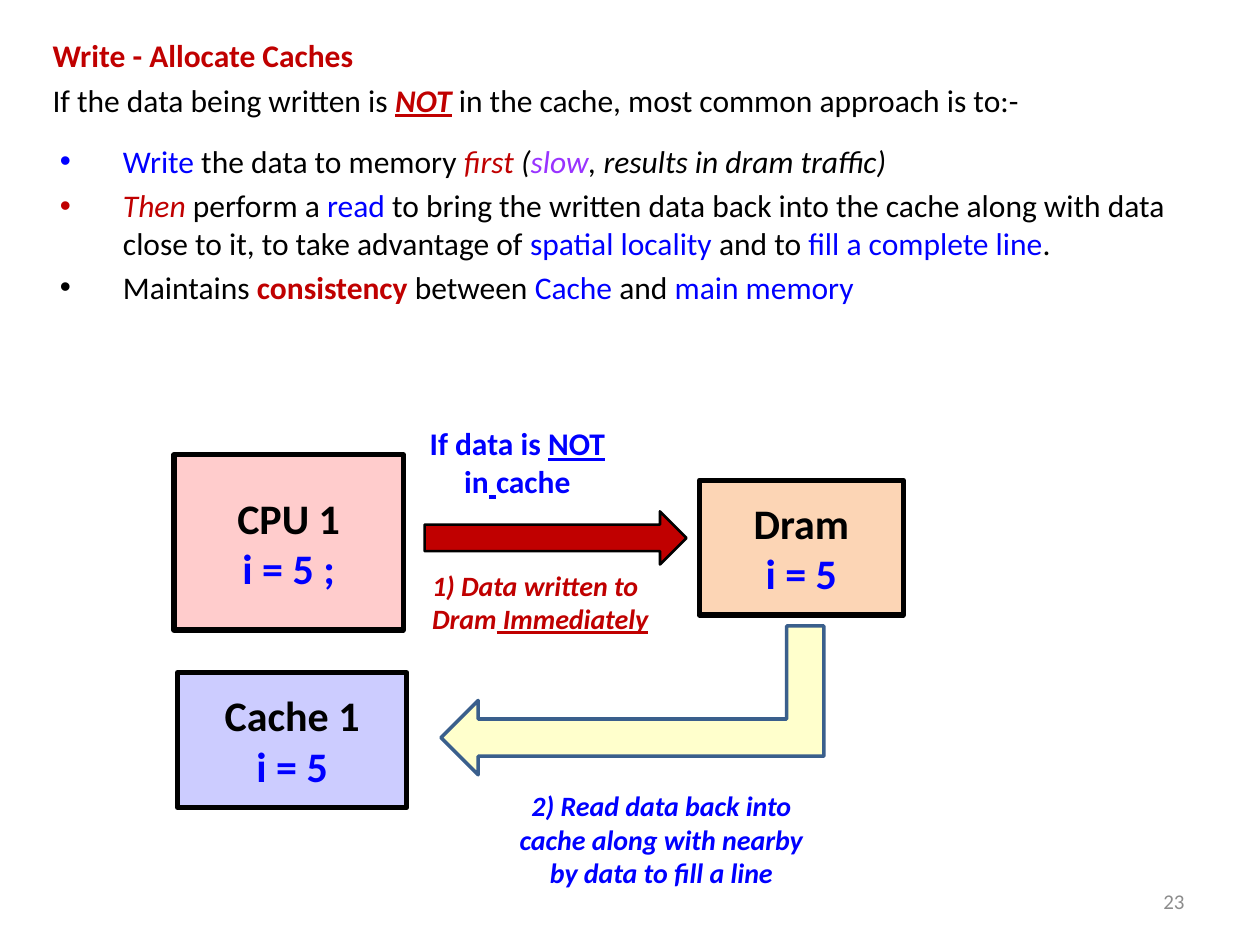
from pptx import Presentation
from pptx.dml.color import RGBColor
from pptx.enum.shapes import MSO_SHAPE as SHAPE
from pptx.enum.text import MSO_ANCHOR as ANCHOR, PP_ALIGN as ALIGN
from pptx.util import Cm, Pt
from lxml.etree import SubElement
from pptx.oxml.ns import qn

FONT = "Calibri"
BLACK = RGBColor(0x00, 0x00, 0x00)
RED = RGBColor(0xC0, 0x00, 0x00)
BLUE = RGBColor(0x00, 0x00, 0xFF)
PURPLE = RGBColor(0x99, 0x33, 0xFF)
GREY = RGBColor(0x8C, 0x8C, 0x8C)
PINK = RGBColor(0xFF, 0xCC, 0xCC)
LILAC = RGBColor(0xCC, 0xCC, 0xFF)
PEACH = RGBColor(0xFC, 0xD5, 0xB5)
CREAM = RGBColor(0xFF, 0xFF, 0xCC)
STEEL = RGBColor(0x3A, 0x5F, 0x8C)

BOLD = {"bold": True}
ITALIC = {"italic": True}
UNDERLINE = {"underline": True}

INTRO = [
    [("Write - Allocate Caches", RED, BOLD)],
    [("If the data being written is ", BLACK),
     ("NOT", RED, BOLD | ITALIC | UNDERLINE),
     (" in the cache, most common approach is to:-", BLACK)],
]
BULLETS = [
    [("Write", BLUE), (" the data to memory ", BLACK), ("first ", RED, ITALIC),
     ("(", BLACK, ITALIC), ("slow", PURPLE, ITALIC),
     (", results in dram traffic)", BLACK, ITALIC)],
    [("Then ", RED, ITALIC), ("perform a ", BLACK), ("read", BLUE),
     (" to bring the written data back into the cache along with data "
      "close to it, to take advantage of ", BLACK),
     ("spatial locality", BLUE), (" and to ", BLACK),
     ("fill a complete line", BLUE), (".", BLACK)],
    [("Maintains ", BLACK), ("consistency", RED, BOLD), (" between ", BLACK),
     ("Cache", BLUE), (" and ", BLACK), ("main memory", BLUE)],
]
# name, value, fill, (left, top, width, height) in cm
UNITS = [
    ("CPU 1", "i = 5 ;", PINK, (3.51, 9.17, 4.62, 3.53)),
    ("Cache 1", "i = 5", LILAC, (3.58, 13.56, 4.62, 2.72)),
    ("Dram", "i = 5", PEACH, (14.1, 9.68, 4.11, 2.72)),
]
# runs, size, alignment, (left, top, width, height) in cm
LABELS = [
    ([("If data is ", BLUE, BOLD), ("NOT", BLUE, BOLD | UNDERLINE),
      (" in", BLUE, BOLD), (" ", BLUE, BOLD | UNDERLINE), ("cache", BLUE, BOLD)],
     18, ALIGN.CENTER, (8.41, 8.43, 4.04, 1.8)),
    ([("1) Data written to Dram", RED, BOLD | ITALIC),
      (" Immediately", RED, BOLD | ITALIC | UNDERLINE)],
     16, ALIGN.LEFT, (8.46, 11.33, 5.16, 1.63)),
    ([("2) Read data back into cache along with nearby by data to fill a line",
       BLUE, BOLD | ITALIC)],
     16, ALIGN.CENTER, (10.06, 15.77, 6.55, 2.31)),
]


def fill_text(tf, paragraphs, size, align=ALIGN.LEFT):
    """Write paragraphs of (text, colour, format) runs and return them."""
    tf.word_wrap = True
    for i, runs in enumerate(paragraphs):
        p = tf.add_paragraph() if i else tf.paragraphs[0]
        p.alignment = align
        for text, color, *formats in runs:
            r = p.add_run()
            r.text = text
            r.font.color.rgb = color
            values = {"name": FONT, "size": Pt(size)}
            for name, value in (values | dict(*formats)).items():
                setattr(r.font, name, value)
    return tf.paragraphs


def add_text(slide, box, paragraphs, size, align=ALIGN.LEFT, anchor=ANCHOR.TOP):
    tf = slide.shapes.add_textbox(*map(Cm, box)).text_frame
    tf.vertical_anchor = anchor
    return fill_text(tf, paragraphs, size, align)


def add_bullet(p):
    pPr = p._p.get_or_add_pPr()
    pPr.set("marL", str(Cm(1.42)))
    pPr.set("indent", str(Cm(-1.27)))
    SubElement(pPr, qn("a:buFont")).set("typeface", "Arial")
    SubElement(pPr, qn("a:buChar")).set("char", "•")


def add_block(slide, kind, box, fill, line, width):
    s = slide.shapes.add_shape(kind, *map(Cm, box))
    s.shadow.inherit = False
    s.fill.solid()
    s.fill.fore_color.rgb = fill
    s.line.color.rgb = line
    s.line.width = Pt(width)
    return s


def add_unit(slide, name, value, fill, box):
    tf = add_block(slide, SHAPE.RECTANGLE, box, fill, BLACK, 3).text_frame
    tf.vertical_anchor = ANCHOR.MIDDLE
    fill_text(tf, [[(name, BLACK, BOLD)], [(value, BLUE, BOLD)]], 24, ALIGN.CENTER)


def add_return_arrow(slide):
    """Bent arrow that leads from the memory down and left to the cache."""
    s = add_block(slide, SHAPE.BENT_UP_ARROW, (11.25, 10.26, 3, 7.72), CREAM, STEEL, 2)
    s.rotation = 90
    s._element.spPr.find(qn("a:xfrm")).set("flipV", "1")


def main():
    prs = Presentation()
    prs.slide_width, prs.slide_height = Cm(25.4), Cm(19.05)
    slide = prs.slides.add_slide(prs.slide_layouts[6])

    body = add_text(slide, (0.81, 0.61, 23.67, 16.41), INTRO + BULLETS, 18)
    for p in body:
        p.space_before = Pt(3.6)
    body[1].space_after = Pt(10)
    for p in body[len(INTRO):]:
        add_bullet(p)

    add_text(slide, (18.21, 17.65, 5.92, 1.02), [[("23", GREY)]], 12,
             ALIGN.RIGHT, ANCHOR.MIDDLE)
    for unit in UNITS:
        add_unit(slide, *unit)
    add_block(slide, SHAPE.RIGHT_ARROW, (8.56, 10.31, 5.28, 1.07), RED, BLACK, 1.5)
    add_return_arrow(slide)
    for runs, size, align, box in LABELS:
        add_text(slide, box, [runs], size, align)

    prs.save("out.pptx")


if __name__ == "__main__":
    main()
